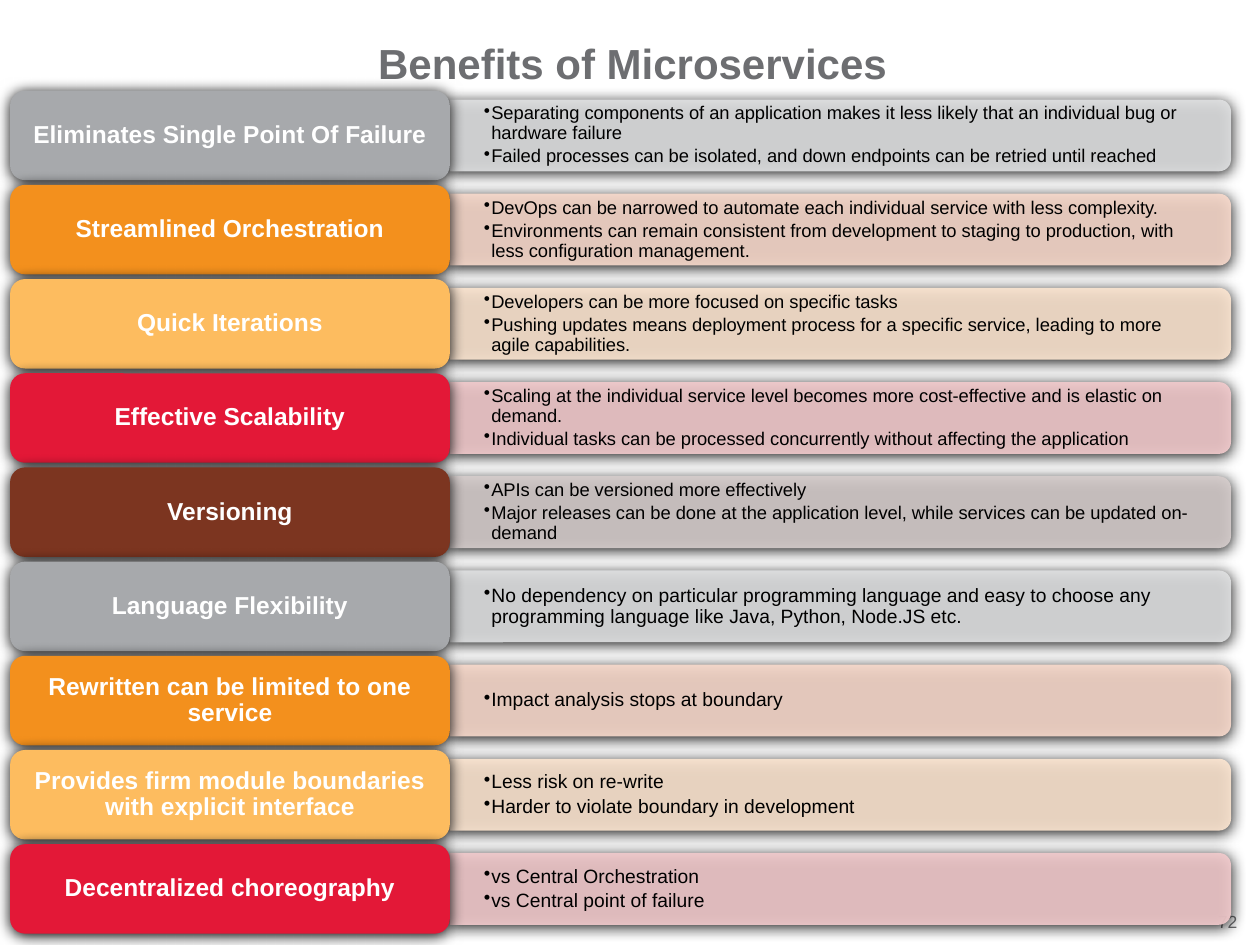
"""Build the slide on the benefits of microservices."""
from lxml import etree
from pptx import Presentation
from pptx.dml.color import RGBColor
from pptx.enum import shapes, text
from pptx.oxml import ns
from pptx.util import Inches, Pt

HUES = {
    "gray": ("A7A9AC", "E1E2E3"),
    "orange": ("F3901D", "FADBCD"),
    "gold": ("FDBC5F", "FEE7D2"),
    "red": ("E31837", "F4CCCE"),
    "brown": ("7C3520", "D7CECD"),
}
INK = {"head": "6D6E71", "body": "000000", "label": "FFFFFF", "shade": "000000"}

ROWS = [
    ("gray", "Eliminates Single Point Of Failure", 10.5, [
        "Separating components of an application makes it less likely that an individual bug or hardware failure",
        "Failed processes can be isolated, and down endpoints can be retried until reached"]),
    ("orange", "Streamlined Orchestration", 10.5, [
        "DevOps can be narrowed to automate each individual service with less complexity.",
        "Environments can remain consistent from development to staging to production, with less configuration management."]),
    ("gold", "Quick Iterations", 10.5, [
        "Developers can be more focused on specific tasks",
        "Pushing updates means deployment process for a specific service, leading to more agile capabilities."]),
    ("red", "Effective Scalability", 10.5, [
        "Scaling at the individual service level becomes more cost-effective and is elastic on demand.",
        "Individual tasks can be processed concurrently without affecting the application"]),
    ("brown", "Versioning", 10.5, [
        "APIs can be versioned more effectively",
        "Major releases can be done at the application level, while services can be updated on-demand"]),
    ("gray", "Language Flexibility", 11, [
        "No dependency on particular programming language and easy to choose any programming language like Java, Python, Node.JS etc."]),
    ("orange", "Rewritten can be limited to one service", 11, [
        "Impact analysis stops at boundary"]),
    ("gold", "Provides firm module boundaries with explicit interface", 11, [
        "Less risk on re-write",
        "Harder to violate boundary in development"]),
    ("red", "Decentralized choreography", 11, [
        "vs Central Orchestration",
        "vs Central point of failure"]),
]


def add_card(kind, left, top, wide, high, hue):
    card = slide.shapes.add_shape(kind, Inches(left), Inches(top), Inches(wide), Inches(high))
    card.fill.solid()
    card.fill.fore_color.rgb = RGBColor.from_string(hue)
    card.line.fill.background()
    card.shadow.inherit = False
    glow = etree.SubElement(
        card._element.spPr.find(ns.qn("a:effectLst")), ns.qn("a:outerShdw"),
        blurRad=str(Pt(8.5)), dist=str(Pt(1)), dir="5400000", rotWithShape="0")
    etree.SubElement(glow, ns.qn("a:srgbClr"), val=INK["shade"])
    return card


def set_text(shape, lines, size, hue, align, pad=(0, 0), bold=False, mark=False, space=None, wrap=True):
    frame = shape.text_frame
    frame.word_wrap = wrap
    frame.margin_left = frame.margin_right = Inches(pad[0])
    frame.margin_top = frame.margin_bottom = Inches(pad[1])
    frame.vertical_anchor = text.MSO_ANCHOR.MIDDLE
    frame.text = "\n".join(lines)
    for para in frame.paragraphs:
        if mark:
            para.level = 1
            props = para._p.get_or_add_pPr()
            props.set("marL", str(Inches(0.06)))
            props.set("indent", str(-Inches(0.06)))
            etree.SubElement(props, ns.qn("a:buChar"), char="•")
        para.alignment = align
        if space is not None:
            para.line_spacing = 0.9
            para.space_after = Pt(space)
        for run in para.runs:
            run.font.name = "Arial"
            run.font.size = Pt(size)
            run.font.bold = bold
            run.font.color.rgb = RGBColor.from_string(hue)


deck = Presentation()
deck.slide_width, deck.slide_height = Inches(10), Inches(7.5)
slide = deck.slides.add_slide(deck.slide_layouts[6])

page = slide.shapes.add_textbox(Inches(9.65), Inches(7.23), Inches(0.17), Inches(0.17))
set_text(page, ["72"], 10, INK["head"], text.PP_ALIGN.RIGHT, wrap=False)

title = slide.shapes.add_textbox(Inches(0.08), Inches(0.3), Inches(9.88), Inches(0.4))
set_text(title, ["Benefits of Microservices"], 24, INK["head"], text.PP_ALIGN.CENTER, bold=True)
title.text_frame.vertical_anchor = text.MSO_ANCHOR.TOP

FIRST, STEP = 0.72, 5.98 / 8
LEFT, WIDE, HIGH = 0.08, 3.49, 0.71
EDGE, LONG, THIN, TALL = LEFT + WIDE, 6.2, 0.57, 0.51

for row, (name, label, size, points) in enumerate(ROWS):
    dark, pale = HUES[name]
    top = FIRST + row * STEP
    mid = top + HIGH / 2

    panel = add_card(shapes.MSO_SHAPE.ROUND_2_SAME_RECTANGLE,
                     EDGE + (LONG - THIN) / 2, mid - LONG / 2, THIN, LONG, pale)
    panel.rotation = 90
    tint = panel._element.spPr.find(ns.qn("a:solidFill"))[0]
    etree.SubElement(tint, ns.qn("a:alpha"), val="90000")

    body = slide.shapes.add_textbox(Inches(EDGE), Inches(mid - TALL / 2), Inches(6.17), Inches(TALL))
    set_text(body, points, size, INK["body"], text.PP_ALIGN.LEFT, (0.27, 0.14), mark=True, space=1.9)

    card = add_card(shapes.MSO_SHAPE.ROUNDED_RECTANGLE, LEFT, top, WIDE, HIGH, dark)
    set_text(card, [label], 14, INK["label"], text.PP_ALIGN.CENTER, (0.06, 0.03), bold=True, space=5)

deck.save("out.pptx")
